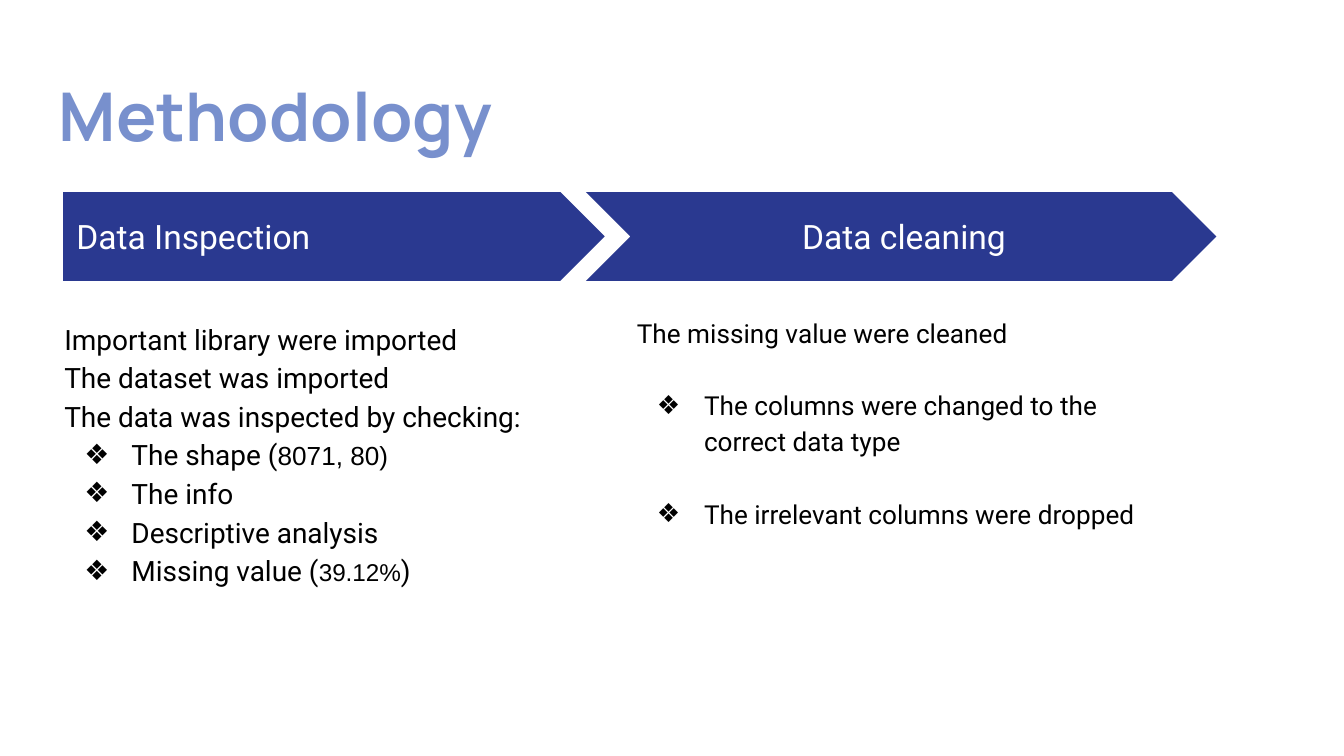
from lxml import etree
from pptx import Presentation
from pptx.dml.color import RGBColor
from pptx.enum.shapes import MSO_SHAPE
from pptx.enum.text import MSO_ANCHOR
from pptx.oxml.ns import qn
from pptx.util import Inches, Pt

COLORS = {"title": "7890CD", "arrow": "2A3990", "label": "FFFFFF", "body": "000000"}


def style_span(span, size, color, font="Roboto", bold=False):
    span.font.name = font
    span.font.size = Pt(size)
    span.font.bold = bold
    span.font.color.rgb = RGBColor.from_string(COLORS[color])


def add_box(page, left, top, width, height, anchor=MSO_ANCHOR.TOP):
    box = page.shapes.add_textbox(Inches(left), Inches(top), Inches(width), Inches(height))
    frame = box.text_frame
    frame.word_wrap = True
    frame.vertical_anchor = anchor
    frame.margin_left = frame.margin_right = Inches(0.1)
    frame.margin_top = frame.margin_bottom = Inches(0.1)
    return frame


def add_bullet(para, size):
    properties = para._p.get_or_add_pPr()
    properties.set("marL", str(Inches(0.5)))
    properties.set("indent", str(Inches(-0.35)))
    color = etree.SubElement(properties, qn("a:buClr"))
    etree.SubElement(color, qn("a:srgbClr"), val=COLORS["body"])
    etree.SubElement(properties, qn("a:buSzPts"), val=str(size * 100))
    etree.SubElement(properties, qn("a:buFont"), typeface="Roboto")
    etree.SubElement(properties, qn("a:buChar"), char="❖")


def add_title(page, text, left, top, width, height):
    para = add_box(page, left, top, width, height).paragraphs[0]
    para.text = text
    style_span(para.runs[0], 36, "title", "Manrope", True)


def add_step(page, preset, text, left, top, width, height, label_offset):
    """Arrow with its label in a box over it."""
    arrow = page.shapes.add_shape(preset, Inches(left), Inches(top), Inches(width), Inches(height))
    arrow.adjustments[0] = 0.5
    arrow.shadow.inherit = False
    arrow.fill.solid()
    arrow.fill.fore_color.rgb = RGBColor.from_string(COLORS["arrow"])
    arrow.line.fill.background()
    frame = add_box(page, left + label_offset, top + 0.16, 2.47, 0.34, MSO_ANCHOR.MIDDLE)
    frame.text = text
    style_span(frame.paragraphs[0].runs[0], 18, "label")


def add_details(page, intro, bullets, size, gap, left, top, width, height):
    """Plain lines, then bullets; each bullet is a list of (text, Arial size or None)."""
    frame = add_box(page, left, top, width, height)
    lines = [([(text, None)], False) for text in intro]
    lines += [(parts, True) for parts in bullets]
    for index, (parts, bulleted) in enumerate(lines):
        para = frame.add_paragraph() if index else frame.paragraphs[0]
        if bulleted:
            add_bullet(para, size)
            para.space_before = Pt(gap)
        para.line_spacing = 1.15
        for text, arial_size in parts:
            span = para.add_run()
            span.text = text
            style_span(span, arial_size or size, "body", "Arial" if arial_size else "Roboto")


def main():
    deck = Presentation()
    # Widescreen, 16:9
    deck.slide_width, deck.slide_height = Inches(10), Inches(10 * 9 / 16)
    page = deck.slides.add_slide(deck.slide_layouts[6])

    add_title(page, "Methodology", 0.34, 0.45, 9.32, 0.66)

    # Process arrows
    add_step(page, MSO_SHAPE.PENTAGON, "Data Inspection", 0.47, 1.43, 4.03, 0.66, 0)
    add_step(page, MSO_SHAPE.CHEVRON, "Data cleaning", 4.36, 1.43, 4.69, 0.66, 1.51)

    # Details below each arrow
    inspection_intro = [
        "Important library were imported",
        "The dataset was imported",
        "The data was inspected by checking:",
    ]
    inspection_bullets = [
        [("The shape (", None), ("8071, 80)", 14)],
        [("The info", None)],
        [("Descriptive analysis", None)],
        [("Missing value (", None), ("39.12%", 13), (")", None)],
    ]
    add_details(page, inspection_intro, inspection_bullets, 15, 0, 0.38, 2.26, 3.98, 2.9)
    cleaning_bullets = [
        [("The columns were changed to the correct data type", None)],
        [("The irrelevant columns were dropped", None)],
    ]
    add_details(page, ["The missing value were cleaned"], cleaning_bullets, 14, 19.3,
                4.64, 2.23, 3.94, 2.9)

    deck.save("out.pptx")


if __name__ == "__main__":
    main()
